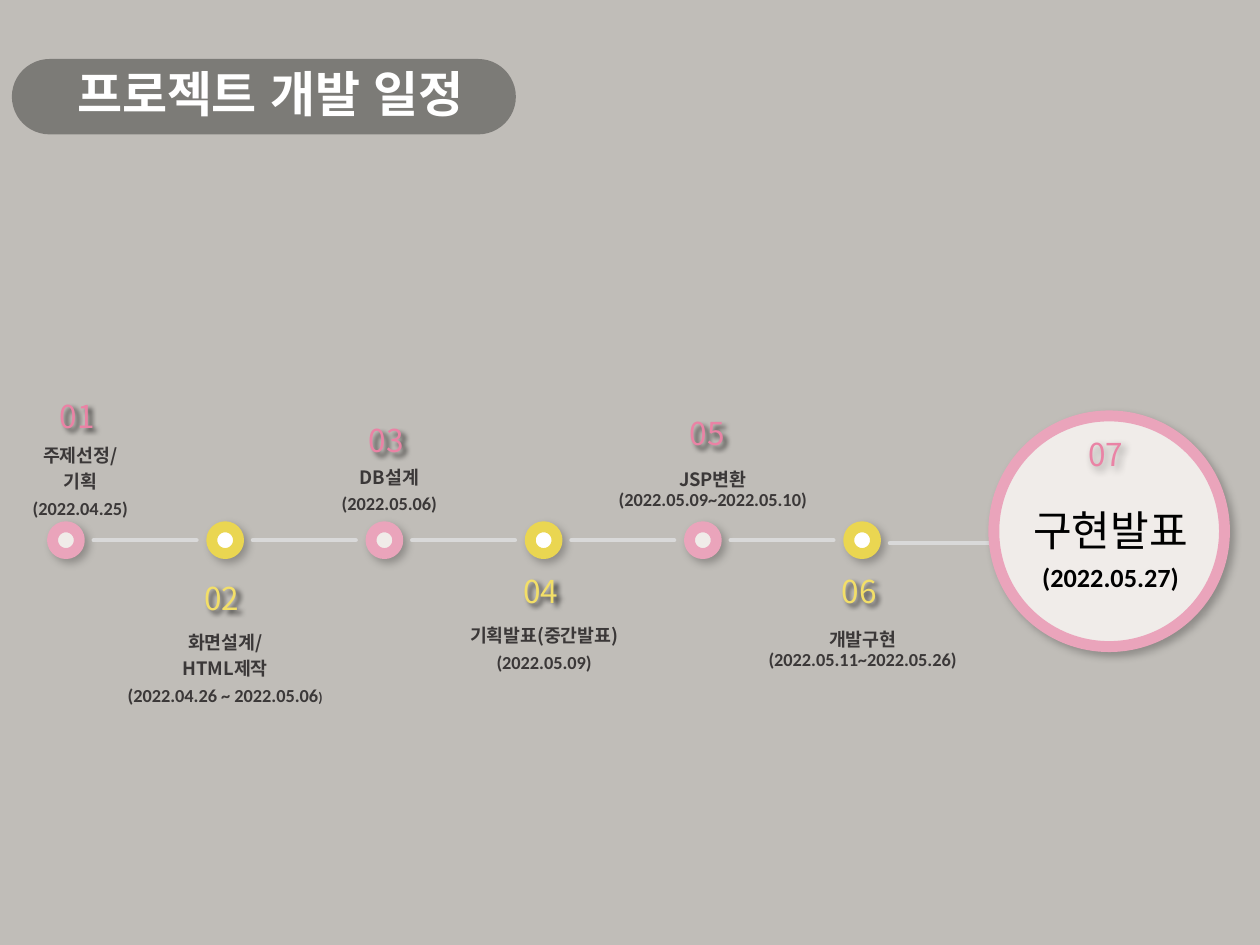
from lxml.etree import SubElement
from pptx import Presentation
from pptx.dml.color import RGBColor
from pptx.enum.shapes import MSO_CONNECTOR as CONN, MSO_SHAPE as SHAPE
from pptx.enum.text import MSO_ANCHOR as ANCHOR, MSO_AUTO_SIZE as AUTO, PP_ALIGN as ALIGN
from pptx.oxml import parse_xml
from pptx.oxml.ns import nsdecls, qn
from pptx.util import Cm, Pt

BACK = RGBColor(0xC0, 0xBD, 0xB8)
PINK = RGBColor(0xEA, 0xA4, 0xBB)
YELLOW = RGBColor(0xEA, 0xD6, 0x51)
PINK_TEXT = RGBColor(0xEA, 0x83, 0xA5)
YELLOW_TEXT = RGBColor(0xF3, 0xDF, 0x68)
CREAM = RGBColor(0xF0, 0xEC, 0xE9)
WHITE = RGBColor(0xFF, 0xFF, 0xFF)
BLACK = RGBColor(0, 0, 0)
DARK = RGBColor(0x3B, 0x38, 0x38)
LINE = RGBColor(0xD9, 0xD9, 0xD9)
KOREAN, LATIN, TITLE_FONT = "Noto Sans CJK KR", "Calibri", "Arial"

TITLE = "프로젝트 개발 일정"
STEPS = [
    ((1.56, 7.87), (1.62, 8.74, 2.46, 2.41), 1.2, ["주제선정/", "기획"], [("(2022.04.25)", 10.5)]),
    ((4.47, 11.54), (4.54, 12.51, 4.52, 2.41), 1.2, ["화면설계/", "HTML제작"],
     [("(2022.04.26 ~ 2022.05.06", 10.5), (")", 7.9)]),
    ((7.79, 8.36), (7.85, 9.18, 2.46, 1.88), 1.2, ["DB설계"], [("(2022.05.06)", 10.5)]),
    ((10.9, 11.4), (10.97, 12.38, 3.84, 1.88), 1.2, ["기획발표(중간발표)"], [("(2022.05.09)", 10.5)]),
    ((14.26, 8.23), (14.37, 9.23, 4.39, 1.9), 0.9, ["JSP변환"], [("(2022.05.09~2022.05.10)", 10.5)]),
    ((17.32, 11.4), (17.39, 12.45, 6.68, 1.9), 0.9, ["개발구현"], [("(2022.05.11~2022.05.26)", 10.5)]),
]
FINAL = ((22.29, 8.64), (22.39, 9.85, 5.11, 3.48), 1.2, ["구현발표"], [("(2022.05.27)", 15)])

AXIS_Y, DOT_X, STEP, DOT = 10.89, 1.33, 3.21, 0.54
LINE_GAP, LINE_LENGTH = 0.56, 2.07


def add_shadow(shape, alpha, blur):
    shape._element.spPr.append(parse_xml(
        f'<a:effectLst {nsdecls("a")}><a:outerShdw blurRad="{Pt(blur)}" dist="38100" '
        f'dir="2700000" algn="tl" rotWithShape="0"><a:srgbClr val="000000">'
        f'<a:alpha val="{alpha * 1000}"/></a:srgbClr></a:outerShdw></a:effectLst>'))


def add_run(p, text, size, color, font=KOREAN, bold=False, east_asian=KOREAN):
    r = p.add_run()
    r.text = text
    r.font.size, r.font.bold, r.font.name = Pt(size), bold, font
    r.font.color.rgb = color
    SubElement(r._r.get_or_add_rPr(), qn("a:ea")).set("typeface", east_asian)


def add_circle(shapes, cx, cy, size, fill, line):
    sp = shapes.add_shape(SHAPE.OVAL, Cm(cx - size / 2), Cm(cy - size / 2), Cm(size), Cm(size))
    sp.fill.solid()
    sp.fill.fore_color.rgb = fill
    sp.line.color.rgb = line
    sp.line.width = Pt(6.25)
    add_shadow(sp, 25, 5)


def add_box(shapes, cx, top, width, height, wrap=False):
    sp = shapes.add_textbox(Cm(cx - width / 2), Cm(top), Cm(width), Cm(height))
    sp.text_frame.word_wrap = wrap
    sp.text_frame.auto_size = AUTO.SHAPE_TO_FIT_TEXT
    return sp


def add_step(shapes, number, step, color, size=10.5, text_color=DARK, bold=True, wrap=False,
             shadow=(70, 3)):
    number_at, label_at, date_spacing, titles, date = step
    sp = add_box(shapes, *number_at, 1.32, 1.02)
    p = sp.text_frame.paragraphs[0]
    p.alignment = ALIGN.CENTER
    add_run(p, f"{number:02}", 18, color)
    add_shadow(sp, *shadow)

    tf = add_box(shapes, *label_at, wrap).text_frame
    rows = [([(t, size)], KOREAN, bold, 1.2) for t in titles] + [(date, LATIN, True, date_spacing)]
    for i, (runs, font, is_bold, spacing) in enumerate(rows):
        p = tf.add_paragraph() if i else tf.paragraphs[0]
        p.alignment, p.line_spacing = ALIGN.CENTER, spacing
        for text, run_size in runs:
            add_run(p, text, run_size, text_color, font, is_bold)


prs = Presentation()
prs.slide_width, prs.slide_height = Cm(25.4), Cm(19.05)
s = prs.slides.add_slide(prs.slide_layouts[6])
s.background.fill.solid()
s.background.fill.fore_color.rgb = BACK

for i, step in enumerate(STEPS):
    odd = i % 2 == 0
    last = i == len(STEPS) - 1
    x = DOT_X + i * STEP
    add_circle(s.shapes, x, AXIS_Y, DOT, CREAM if odd else WHITE, PINK if odd else YELLOW)
    y = AXIS_Y + (0.06 if last else 0)
    start = x + LINE_GAP
    c = s.shapes.add_connector(CONN.STRAIGHT, Cm(start), Cm(y), Cm(start + LINE_LENGTH), Cm(y))
    c.line.color.rgb = LINE
    c.line.width = Pt(2.5)
    c.line._get_or_add_ln().set("cap", "rnd")
    SubElement(c._element.spPr, qn("a:effectLst"))
    add_step(s.shapes, i + 1, step, PINK_TEXT if odd else YELLOW_TEXT, wrap=last)

final = s.shapes.add_group_shape()
add_circle(final.shapes, 22.36, 10.71, 4.65, CREAM, PINK)
add_step(final.shapes, len(STEPS) + 1, FINAL, PINK_TEXT, 24, BLACK, False, True, (40, 5))

sp = s.shapes.add_shape(SHAPE.ROUNDED_RECTANGLE, Cm(0.24), Cm(1.19), Cm(10.16), Cm(1.52))
sp.adjustments[0] = 0.5
sp.shadow.inherit = False
sp.fill.solid()
sp.fill.fore_color.rgb = BLACK
SubElement(sp.fill._xPr.find(qn("a:solidFill"))[0], qn("a:alpha")).set("val", "35000")
sp.line.fill.background()
tf = sp.text_frame
tf.word_wrap = True
tf.vertical_anchor = ANCHOR.MIDDLE
tf.margin_left = Cm(0.52)
p = tf.paragraphs[0]
p.alignment, p.line_spacing = ALIGN.CENTER, Pt(29.4)
add_run(p, TITLE, 28, WHITE, TITLE_FONT, True, TITLE_FONT)

prs.save("out.pptx")
